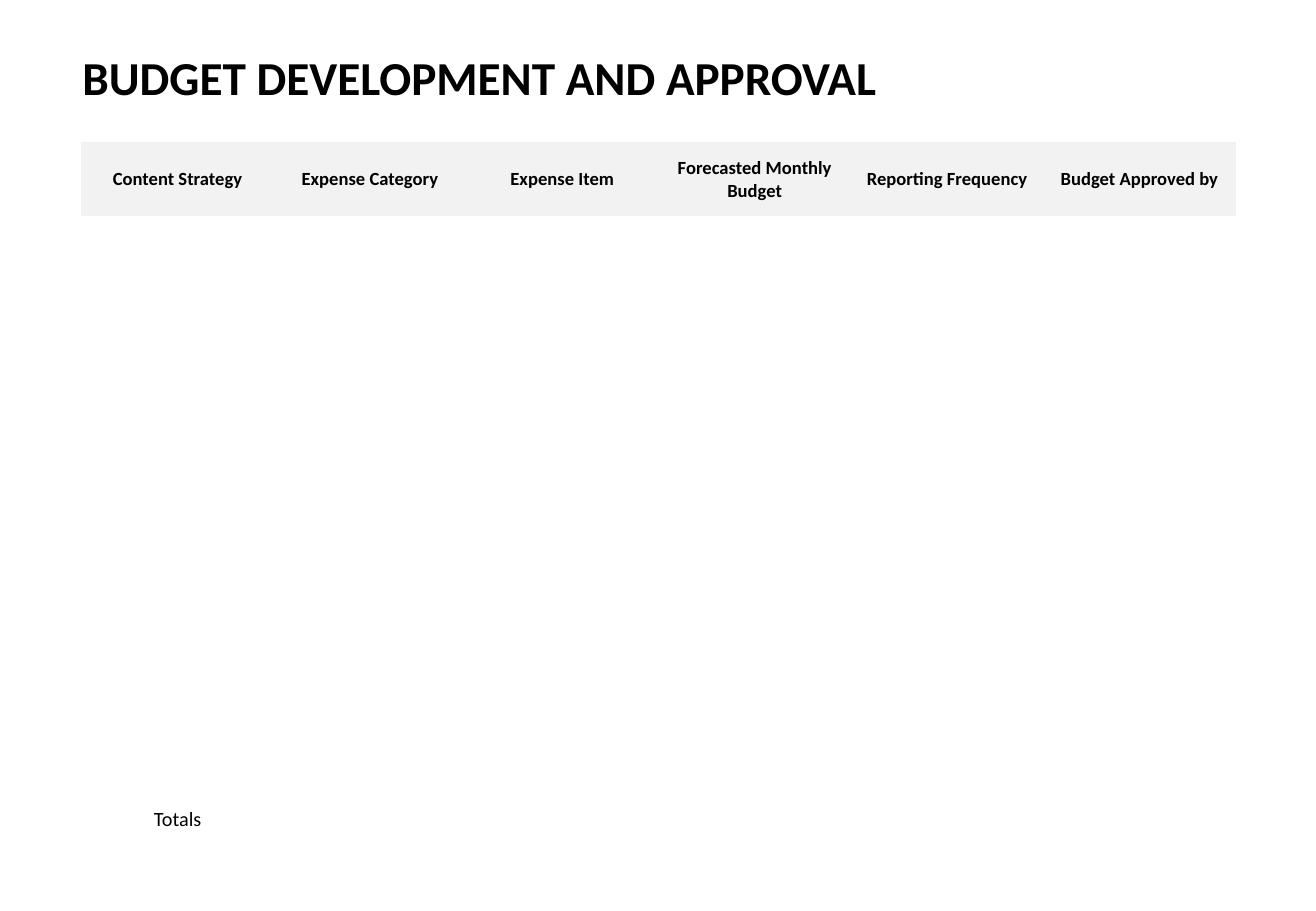
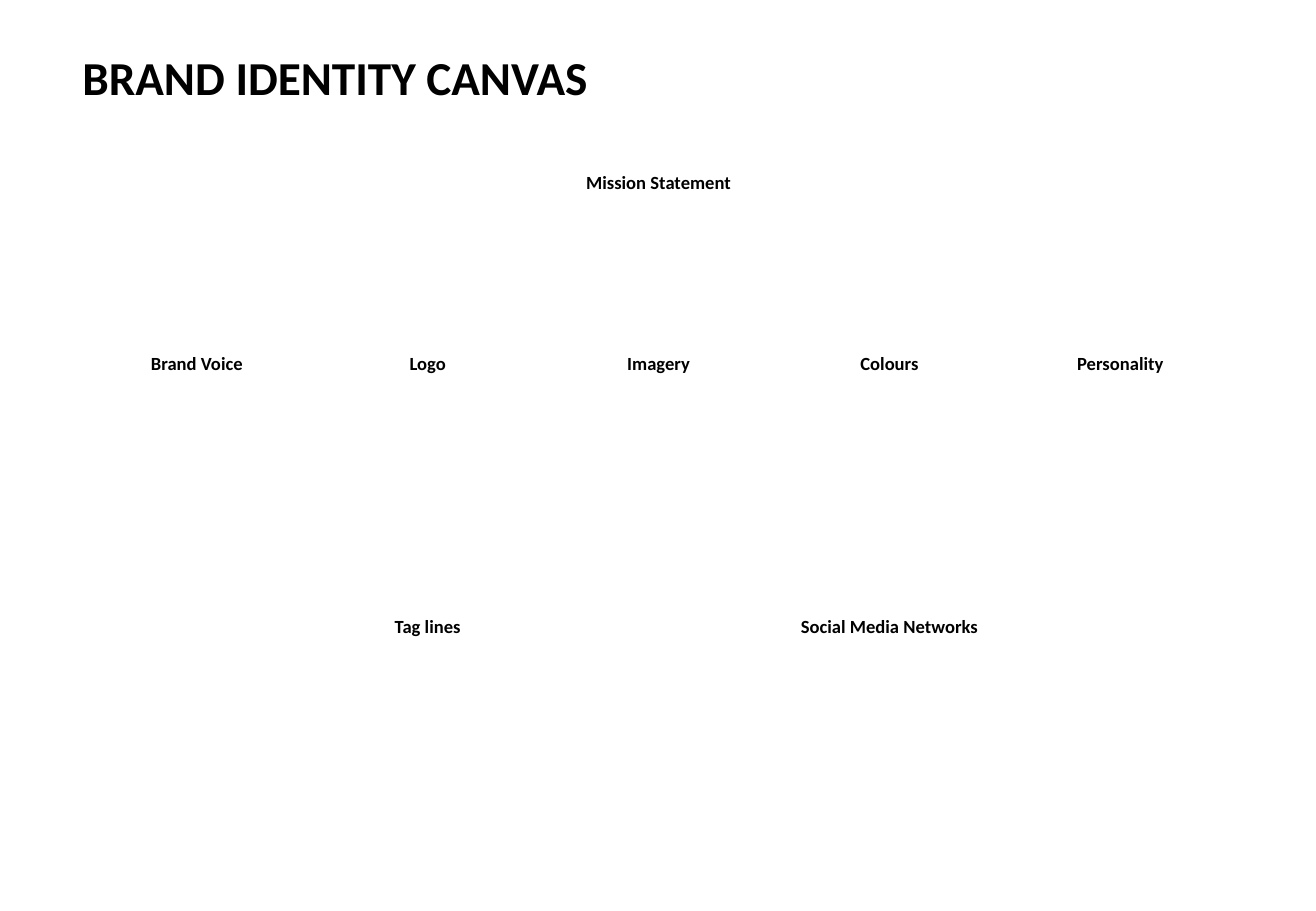
"""Build a budget approval table and a brand identity canvas."""
from pptx import Presentation
from pptx import util as u
from pptx.dml.color import RGBColor
from pptx.enum import text

BLACK = RGBColor(0x00, 0x00, 0x00)
HEADER_GREY = RGBColor(0xF2, 0xF2, 0xF2)
FONT = "Calibri"
NO_GRID_STYLE = "{2D5ABB26-0587-4C30-8999-92F81FD0307C}"

SLIDE_WIDTH, SLIDE_HEIGHT = u.Inches(10.83), u.Inches(7.5)
TITLE_BOX = [u.Inches(length) for length in (0.58, 0.35, 9.49, 0.57)]
TABLE_LEFT, TABLE_WIDTH = u.Inches(0.67), u.Inches(9.5)
TABLE_BOTTOM = u.Inches(7)
CANVAS_LABEL_INSET = u.Inches(0.24)

BUDGET_HEADINGS = (
    "Content Strategy", "Expense Category", "Expense Item",
    "Forecasted Monthly Budget", "Reporting Frequency", "Budget Approved by",
)
BUDGET_ROWS = (0.61, 1.18, 1.18, 1.18, 1.18, 0.5)
CANVAS_ROWS = (1.49, 2.17, 2.17)
CANVAS_LABELS = (
    (0, 0, "Mission Statement"),
    (1, 0, "Brand Voice"), (1, 1, "Logo"), (1, 2, "Imagery"),
    (1, 3, "Colours"), (1, 4, "Personality"),
    (2, 1, "Tag lines"), (2, 3, "Social Media Networks"),
)


def write(frame, wording, size, bold=True, align=text.PP_ALIGN.CENTER):
    """Put one formatted paragraph into a text frame."""
    frame.text = wording
    paragraph = frame.paragraphs[0]
    paragraph.alignment = align
    font = paragraph.runs[0].font
    font.name, font.size, font.bold = FONT, u.Pt(size), bold
    font.color.rgb = BLACK


def add_titled_slide(presentation, title):
    """Add a blank slide with the shared title."""
    slide = presentation.slides.add_slide(presentation.slide_layouts[6])
    frame = slide.shapes.add_textbox(*TITLE_BOX).text_frame
    frame.word_wrap = True
    frame.vertical_anchor = text.MSO_ANCHOR.MIDDLE
    write(frame, title, 28, align=text.PP_ALIGN.LEFT)
    return slide


def add_plain_table(slide, row_heights, column_count):
    """Add an unfilled table with equal columns, ending at the bottom margin."""
    heights = [u.Inches(height) for height in row_heights]
    total = sum(heights)
    table = slide.shapes.add_table(
        len(heights), column_count,
        TABLE_LEFT, TABLE_BOTTOM - total, TABLE_WIDTH, total).table
    table.first_row = table.horz_banding = False
    table._tbl.tblPr[0].text = NO_GRID_STYLE
    for row, height in zip(table.rows, heights):
        row.height = height
    for cell in table.iter_cells():
        cell.fill.background()
    return table


def add_budget_slide(presentation):
    """Add the budget table with its heading band and totals row."""
    slide = add_titled_slide(presentation, "BUDGET DEVELOPMENT AND APPROVAL")
    table = add_plain_table(slide, BUDGET_ROWS, len(BUDGET_HEADINGS))
    for column, heading in enumerate(BUDGET_HEADINGS):
        cell = table.cell(0, column)
        cell.fill.solid()
        cell.fill.fore_color.rgb = HEADER_GREY
        cell.vertical_anchor = text.MSO_ANCHOR.MIDDLE
        write(cell.text_frame, heading, 11)
    totals = table.cell(len(BUDGET_ROWS) - 1, 0)
    totals.vertical_anchor = text.MSO_ANCHOR.MIDDLE
    write(totals.text_frame, "Totals", 12, bold=False)


def add_canvas_slide(presentation):
    """Add the canvas of merged and single brand cells."""
    slide = add_titled_slide(presentation, "BRAND IDENTITY CANVAS")
    table = add_plain_table(slide, CANVAS_ROWS, 5)
    table.cell(0, 0).merge(table.cell(0, 4))
    for column in (0, 2, 4):
        table.cell(1, column).merge(table.cell(2, column))
    for row, column, label in CANVAS_LABELS:
        cell = table.cell(row, column)
        cell.margin_top = CANVAS_LABEL_INSET
        write(cell.text_frame, label, 11)


def main():
    """Build and save the presentation."""
    presentation = Presentation()
    presentation.slide_width = SLIDE_WIDTH
    presentation.slide_height = SLIDE_HEIGHT
    add_budget_slide(presentation)
    add_canvas_slide(presentation)
    presentation.save("out.pptx")


if __name__ == "__main__":
    main()
